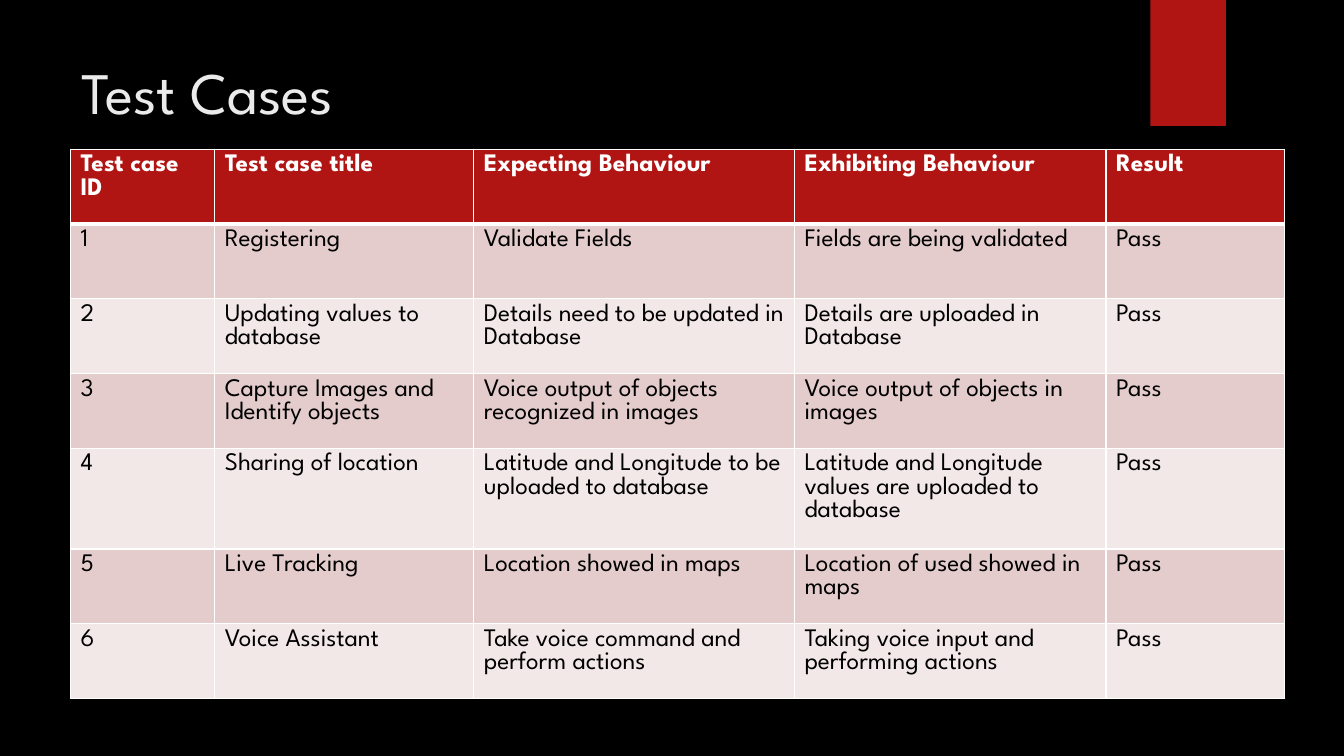
from lxml import etree
from pptx import Presentation
from pptx.dml.color import RGBColor
from pptx.enum import shapes, text
from pptx.oxml import ns
from pptx.util import Inches, Pt

BLACK = RGBColor(0x00, 0x00, 0x00)
WHITE = RGBColor(0xFF, 0xFF, 0xFF)
OFF_WHITE = RGBColor(0xEB, 0xEB, 0xEB)
RED = RGBColor(0xB0, 0x15, 0x13)
ROSE = RGBColor(0xE4, 0xCC, 0xCC)
PALE_ROSE = RGBColor(0xF2, 0xE8, 0xE7)

HEADINGS = ("Test case ID", "Test case title", "Expecting Behaviour",
            "Exhibiting Behaviour", "Result")
TEST_CASES = (
    ("Registering", "Validate Fields", "Fields are being validated"),
    ("Updating values to database", "Details need to be updated in Database",
     "Details are uploaded in Database"),
    ("Capture Images and Identify objects",
     "Voice output of objects recognized in images",
     "Voice output of objects in images"),
    ("Sharing of location", "Latitude and Longitude to be uploaded to database",
     "Latitude and Longitude values are uploaded to database"),
    ("Live Tracking", "Location showed in maps",
     "Location of used showed in maps"),
    ("Voice Assistant", "Take voice command and perform actions",
     "Taking voice input and performing actions"),
)
COLUMN_WIDTHS = (1.43, 2.57, 3.18, 3.09, 1.77)
ROW_HEIGHT = 0.742


def write_text(frame, words, *, size, color, font, bold=False):
    run = frame.paragraphs[0].add_run()
    run.text = words
    run.font.name = font
    run.font.size = Pt(size)
    run.font.bold = bold
    run.font.color.rgb = color


def set_borders(cell, color, **widths):
    """Draw cell edges; widths maps lnL, lnR, lnT, lnB to points."""
    properties = cell._tc.get_or_add_tcPr()
    for position, (edge, width) in enumerate(widths.items()):
        line = etree.Element(ns.qn(f"a:{edge}"), w=str(Pt(width)))
        fill = etree.SubElement(line, ns.qn("a:solidFill"))
        etree.SubElement(fill, ns.qn("a:srgbClr"), val=str(color))
        properties.insert(position, line)


class TestCaseSlide:
    font = "League Spartan"

    def __init__(self, presentation):
        self.slide = presentation.slides.add_slide(presentation.slide_layouts[6])
        background = self.slide.background.fill
        background.solid()
        background.fore_color.rgb = BLACK

    def ribbon(self, left, top, width, height):
        ribbon = self.slide.shapes.add_shape(
            shapes.MSO_SHAPE.RECTANGLE,
            Inches(left), Inches(top), Inches(width), Inches(height))
        ribbon.shadow.inherit = False
        ribbon.fill.solid()
        ribbon.fill.fore_color.rgb = RED
        ribbon.line.fill.background()

    def title(self, words, left, top, width, height):
        frame = self.slide.shapes.add_textbox(
            Inches(left), Inches(top), Inches(width), Inches(height)).text_frame
        frame.word_wrap = True
        frame.vertical_anchor = text.MSO_ANCHOR.BOTTOM
        frame.margin_bottom = 0
        write_text(frame, words, size=42, color=OFF_WHITE, font=self.font)

    def table(self, rows, left, top):
        table = self.slide.shapes.add_table(
            len(rows), len(COLUMN_WIDTHS), Inches(left), Inches(top),
            Inches(sum(COLUMN_WIDTHS)), Inches(ROW_HEIGHT * len(rows))).table
        for column, width in zip(table.columns, COLUMN_WIDTHS):
            column.width = Inches(width)
        for number, values in enumerate(rows):
            table.rows[number].height = Inches(ROW_HEIGHT)
            for column, words in enumerate(values):
                self.cell(table.cell(number, column), words, number)

    def cell(self, cell, words, number):
        header = number == 0
        cell.fill.solid()
        cell.fill.fore_color.rgb = (
            RED if header else ROSE if number % 2 else PALE_ROSE)
        write_text(cell.text_frame, words, size=18, bold=header,
                   color=WHITE if header else BLACK, font=self.font)
        set_borders(cell, WHITE, lnL=1, lnR=1,
                    lnT=3 if number == 1 else 1, lnB=3 if header else 1)


def main():
    presentation = Presentation()
    presentation.slide_width = Inches(13.33)
    presentation.slide_height = Inches(7.5)
    slide = TestCaseSlide(presentation)

    # Heading
    slide.ribbon(11.41, 0, 0.75, 1.25)
    slide.title("Test Cases", 0.71, 0.5, 10.29, 0.75)

    # Test results: every case passes
    results = [(str(number), *case, "Pass")
               for number, case in enumerate(TEST_CASES, 1)]
    slide.table([HEADINGS, *results], 0.7, 1.48)

    presentation.save("out.pptx")


if __name__ == "__main__":
    main()
